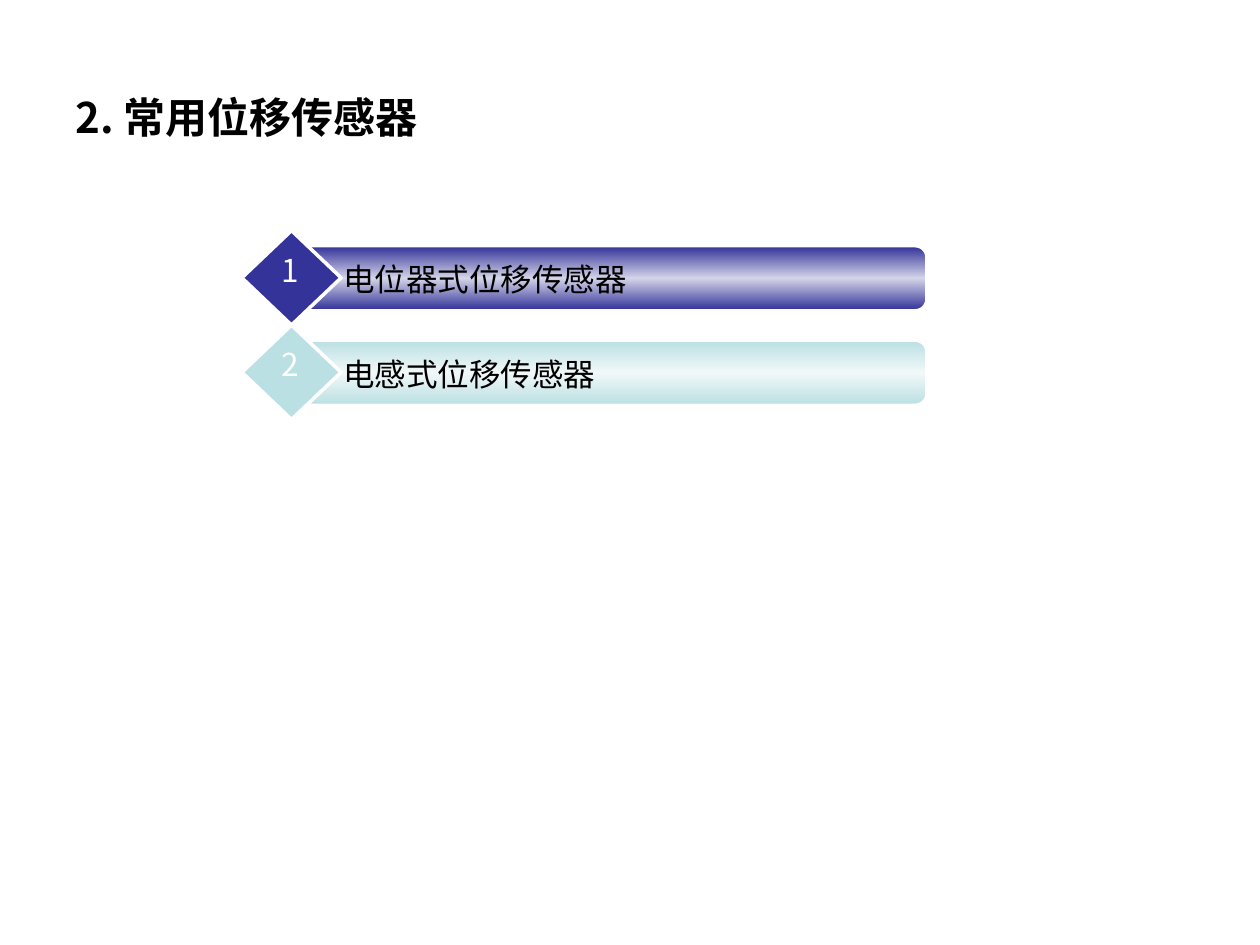
import copy
from dataclasses import dataclass

import pptx
import pptx.dml.color
import pptx.enum.shapes
import pptx.enum.text
import pptx.oxml
import pptx.oxml.ns
import pptx.util

SHAPES = pptx.enum.shapes.MSO_SHAPE
ALIGN = pptx.enum.text.PP_ALIGN
ANCHOR = pptx.enum.text.MSO_ANCHOR
AUTO_SIZE = pptx.enum.text.MSO_AUTO_SIZE


@dataclass(frozen=True)
class Theme:
    font: str = "Noto Sans CJK SC"
    title_size: int = 24
    item_size: int = 18
    black: str = "000000"
    white: str = "FFFFFF"
    accents: tuple = (("333399", "D4D4E9"), ("BBE0E3", "F1F8F9"))


@dataclass(frozen=True)
class Box:
    left: float
    top: float
    width: float
    height: float

    def share(self, left, top, width, height):
        return Box(self.left + left * self.width, self.top + top * self.height,
                   width * self.width, height * self.height)

    def lengths(self):
        return [pptx.util.Inches(value)
                for value in (self.left, self.top, self.width, self.height)]


THEME = Theme()
PAGE = Box(0, 0, 10, 7.5)
ROW_PITCH = 0.1


def rgb(color):
    return pptx.dml.color.RGBColor.from_string(color)


def write(shape, text, size, color, align, bold=False):
    frame = shape.text_frame
    frame.text = text
    paragraph = frame.paragraphs[0]
    paragraph.alignment = align
    for run in paragraph.runs:
        run.font.name = THEME.font
        run.font.size = pptx.util.Pt(size)
        run.font.bold = bold
        run.font.color.rgb = rgb(color)
        east_asian = pptx.oxml.parse_xml(
            f'<a:ea {pptx.oxml.ns.nsdecls("a")} typeface="{THEME.font}"/>')
        run.font._element.find(pptx.oxml.ns.qn("a:latin")).addnext(east_asian)


def add_title(slide, box, text):
    title = slide.shapes.title
    title.left, title.top, title.width, title.height = box.lengths()
    title.text_frame.vertical_anchor = ANCHOR.MIDDLE
    title.text_frame.word_wrap = True
    write(title, text, THEME.title_size, THEME.black, ALIGN.LEFT, bold=True)


def add_outlined(group, kind, box, line_width):
    shape = group.shapes.add_shape(kind, *box.lengths())
    shape.shadow.inherit = False
    shape.line.color.rgb = rgb(THEME.white)
    shape.line.width = pptx.util.Pt(line_width)
    return shape


def fill_with_sheen(shape, edge, middle):
    shape.fill.gradient()
    shape.fill.gradient_angle = 90
    first = shape.fill._xPr.find(".//" + pptx.oxml.ns.qn("a:gs"))
    first.addnext(copy.deepcopy(first))
    for stop, position, color in zip(shape.fill.gradient_stops,
                                     (0, 0.5, 1), (edge, middle, edge)):
        stop.position = position
        stop.color.rgb = rgb(color)


def add_label(group, box, text, color, align, wrap):
    label = group.shapes.add_textbox(*box.lengths())
    label.text_frame.word_wrap = wrap
    label.text_frame.auto_size = AUTO_SIZE.SHAPE_TO_FIT_TEXT
    write(label, text, THEME.item_size, color, align)


def add_item(slide, box, number, text, accent):
    edge, middle = accent
    group = slide.shapes.add_group_shape()
    bar = add_outlined(group, SHAPES.ROUNDED_RECTANGLE,
                       box.share(0.08, 0.17, 0.92, 0.67), 1)
    bar.adjustments[0] = 0.17
    fill_with_sheen(bar, edge, middle)
    diamond = add_outlined(group, SHAPES.DIAMOND, box.share(0, 0, 0.145, 1), 2)
    diamond.fill.solid()
    diamond.fill.fore_color.rgb = rgb(edge)
    add_label(group, box.share(0.13, 0.25, 0.725, 0.53), text,
              THEME.black, ALIGN.LEFT, True)
    add_label(group, box.share(0.039, 0.15, 0.062, 0.53), str(number),
              THEME.white, ALIGN.CENTER, False)


def add_agenda(slide, box, items):
    for index, (text, accent) in enumerate(zip(items, THEME.accents)):
        row = box.share(0, index / len(items), 1, 1 / len(items))
        add_item(slide, row, index + 1, text, accent)


def main():
    presentation = pptx.Presentation()
    presentation.slide_width = pptx.util.Inches(PAGE.width)
    presentation.slide_height = pptx.util.Inches(PAGE.height)
    slide = presentation.slides.add_slide(presentation.slide_layouts[5])
    add_title(slide, PAGE.share(0.05, 0.09, 0.9, 0.067), "2. 常用位移传感器")
    items = ["电位器式位移传感器", "电感式位移传感器"]
    add_agenda(slide, PAGE.share(0.192, 0.244, 0.543, ROW_PITCH * len(items)), items)
    presentation.save("out.pptx")


if __name__ == "__main__":
    main()
